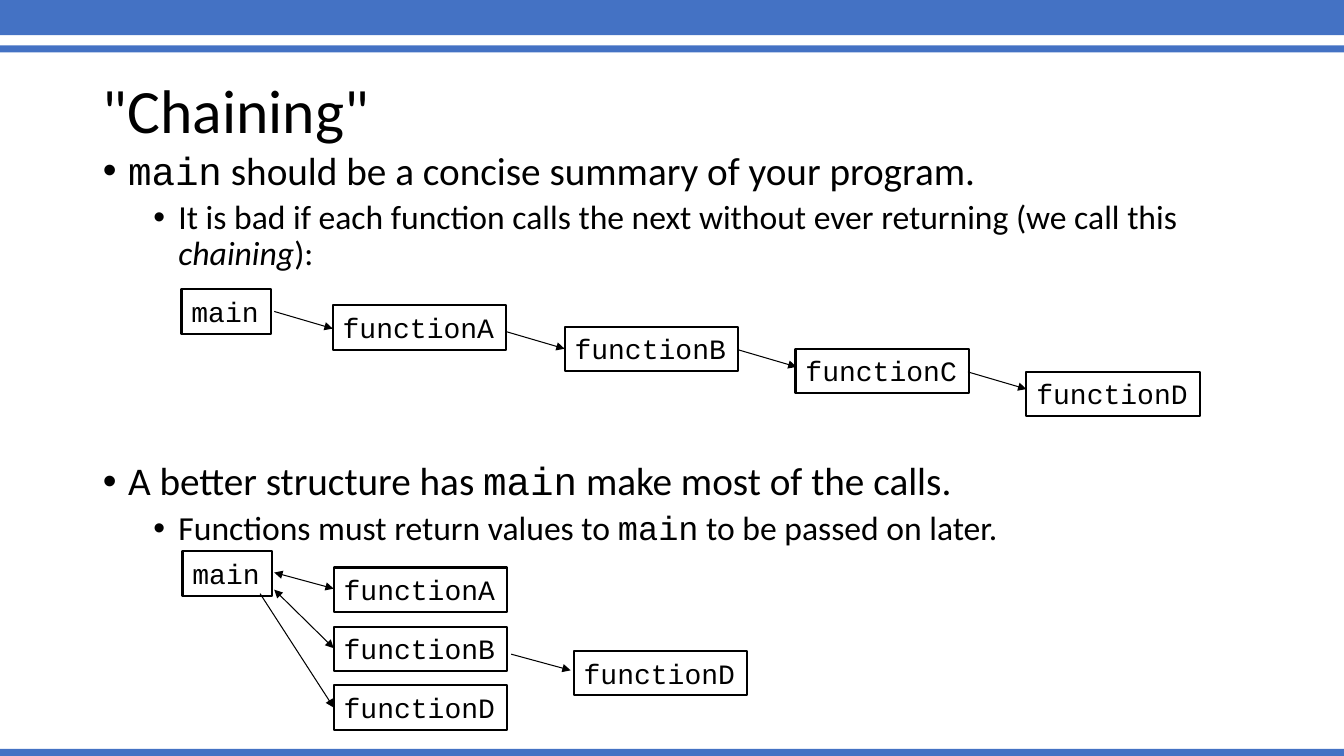
from lxml import etree
from pptx import Presentation
from pptx.dml.color import RGBColor
from pptx.enum.shapes import MSO_CONNECTOR, MSO_SHAPE
from pptx.enum.text import MSO_ANCHOR, MSO_AUTO_SIZE, PP_ALIGN
from pptx.oxml.ns import qn
from pptx.util import Inches, Pt

RECT = MSO_SHAPE.RECTANGLE
STRAIGHT = MSO_CONNECTOR.STRAIGHT
TOP, MIDDLE = MSO_ANCHOR.TOP, MSO_ANCHOR.MIDDLE
FIT, FIXED = MSO_AUTO_SIZE.SHAPE_TO_FIT_TEXT, MSO_AUTO_SIZE.NONE
LEFT = PP_ALIGN.LEFT
BLUE, BLACK = "4472C4", "000000"
SANS, MONO = "Calibri", "Courier New"
MAIN_W, FUNC_W, BOX_H = 0.89, 1.72, 0.44


def rgb(color):
    return RGBColor.from_string(color)


def add_run(p, text, size=20, font=SANS, color=BLACK, italic=False):
    r = p.add_run()
    r.text = text
    r.font.size = Pt(size)
    r.font.name = font
    r.font.italic = italic
    r.font.color.rgb = rgb(color)


def place(sp, x, y, w, h):
    sp.left, sp.top, sp.width, sp.height = map(Inches, (x, y, w, h))


def add_band(s, y, h):
    sp = s.shapes.add_shape(RECT, 0, Inches(y), Inches(13.33), Inches(h))
    sp.shadow.inherit = False
    sp.fill.solid()
    sp.fill.fore_color.rgb = rgb(BLUE)
    sp.line.fill.background()


def set_title(s, text):
    sp = s.shapes.title
    place(sp, 0.92, 0.4, 11.5, 1.45)
    tf = sp.text_frame
    tf.auto_size = FIXED
    tf.vertical_anchor = MIDDLE
    p = tf.paragraphs[0]
    p.alignment = LEFT
    p.line_spacing = 0.9
    add_run(p, text, size=44)


def add_bullet(p, level, before, runs):
    p.level = level
    p.line_spacing = 0.9
    p.space_before = Pt(before)
    pPr = p._p.get_or_add_pPr()
    pPr.set("marL", str(Inches(0.25 + 0.5 * level)))
    pPr.set("indent", str(Inches(-0.25)))
    etree.SubElement(pPr, qn("a:buFont")).set("typeface", "Arial")
    etree.SubElement(pPr, qn("a:buChar")).set("char", "•")
    for text, style in runs:
        add_run(p, text, size=28 - 4 * level, **style)


def set_body(s, bullets):
    sp = s.placeholders[1]
    place(sp, 0.92, 1.45, 11.5, 5.3)
    tf = sp.text_frame
    tf.auto_size = FIXED
    tf.vertical_anchor = TOP
    for i, bullet in enumerate(bullets):
        add_bullet(tf.add_paragraph() if i else tf.paragraphs[0], *bullet)


def add_box(group, name, x, y):
    w = MAIN_W if name == "main" else FUNC_W
    sp = group.shapes.add_shape(RECT, *map(Inches, (x, y, w, BOX_H)))
    sp.shadow.inherit = False
    sp.fill.background()
    sp.line.color.rgb = rgb(BLACK)
    sp.line.width = Pt(1.5)
    tf = sp.text_frame
    tf.word_wrap = False
    tf.auto_size = FIT
    tf.vertical_anchor = TOP
    p = tf.paragraphs[0]
    p.alignment = LEFT
    add_run(p, name, font=MONO)


def add_arrow(group, x1, y1, x2, y2, ends=("tailEnd",)):
    c = group.shapes.add_connector(STRAIGHT, *map(Inches, (x1, y1, x2, y2)))
    c.line.color.rgb = rgb(BLACK)
    c.line.width = Pt(0.75)
    ln = c.line._get_or_add_ln()
    for end in ends:
        etree.SubElement(ln, qn("a:" + end)).set("type", "triangle")
    etree.SubElement(c._element.spPr, qn("a:effectLst"))


def add_diagram(s, boxes, arrows):
    group = s.shapes.add_group_shape()
    for box in boxes:
        add_box(group, *box)
    for arrow in arrows:
        add_arrow(group, *arrow)


def main():
    prs = Presentation()
    prs.slide_width, prs.slide_height = Inches(13.33), Inches(7.5)
    s = prs.slides.add_slide(prs.slide_layouts[1])
    for y, h in ((0, 0.35), (0.45, 0.07), (7.43, 0.07)):
        add_band(s, y, h)

    set_title(s, '"Chaining"')
    code, plain = {"font": MONO}, {}
    set_body(s, [
        (0, 10, [("main", code),
                 (" should be a concise summary of your program.", plain)]),
        (1, 5, [("It is bad if each function calls the next without ever "
                 "returning (we call this ", plain),
                ("chaining", {"italic": True}), ("):", plain)]),
        (0, 135, [("A better structure has ", plain), ("main", code),
                  (" make most of the calls.", plain)]),
        (1, 5, [("Functions must return values to ", plain), ("main", code),
                (" to be passed on later.", plain)]),
    ])

    add_diagram(
        s,
        [("main", 1.8, 2.87), ("functionA", 3.3, 3.03),
         ("functionB", 5.6, 3.24), ("functionC", 7.89, 3.46),
         ("functionD", 10.18, 3.69)],
        [(x, y, x + 0.58, y + 0.17) for x, y in
         ((2.72, 3.09), (5.02, 3.29), (7.32, 3.47), (9.6, 3.69))])

    both = ("headEnd", "tailEnd")
    add_diagram(
        s,
        [("main", 1.81, 5.47), ("functionA", 3.31, 5.63),
         ("functionB", 3.31, 6.22), ("functionD", 5.69, 6.46),
         ("functionD", 3.31, 6.8)],
        [(2.72, 5.68, 3.31, 5.84, both), (2.72, 5.85, 3.31, 6.43, both),
         (5.07, 6.49, 5.66, 6.65), (2.58, 5.89, 3.31, 7.02)])
    prs.save("out.pptx")


if __name__ == "__main__":
    main()
